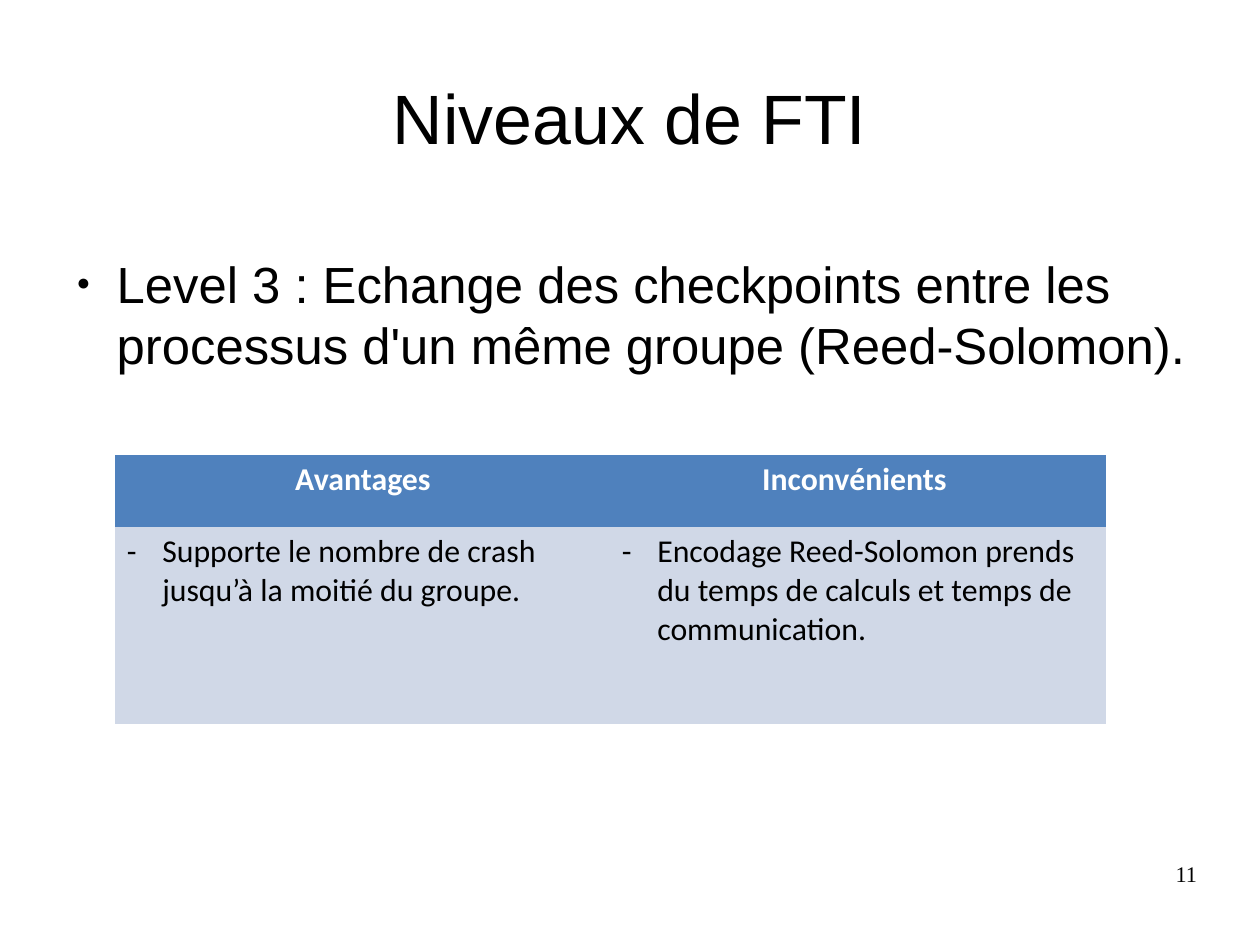
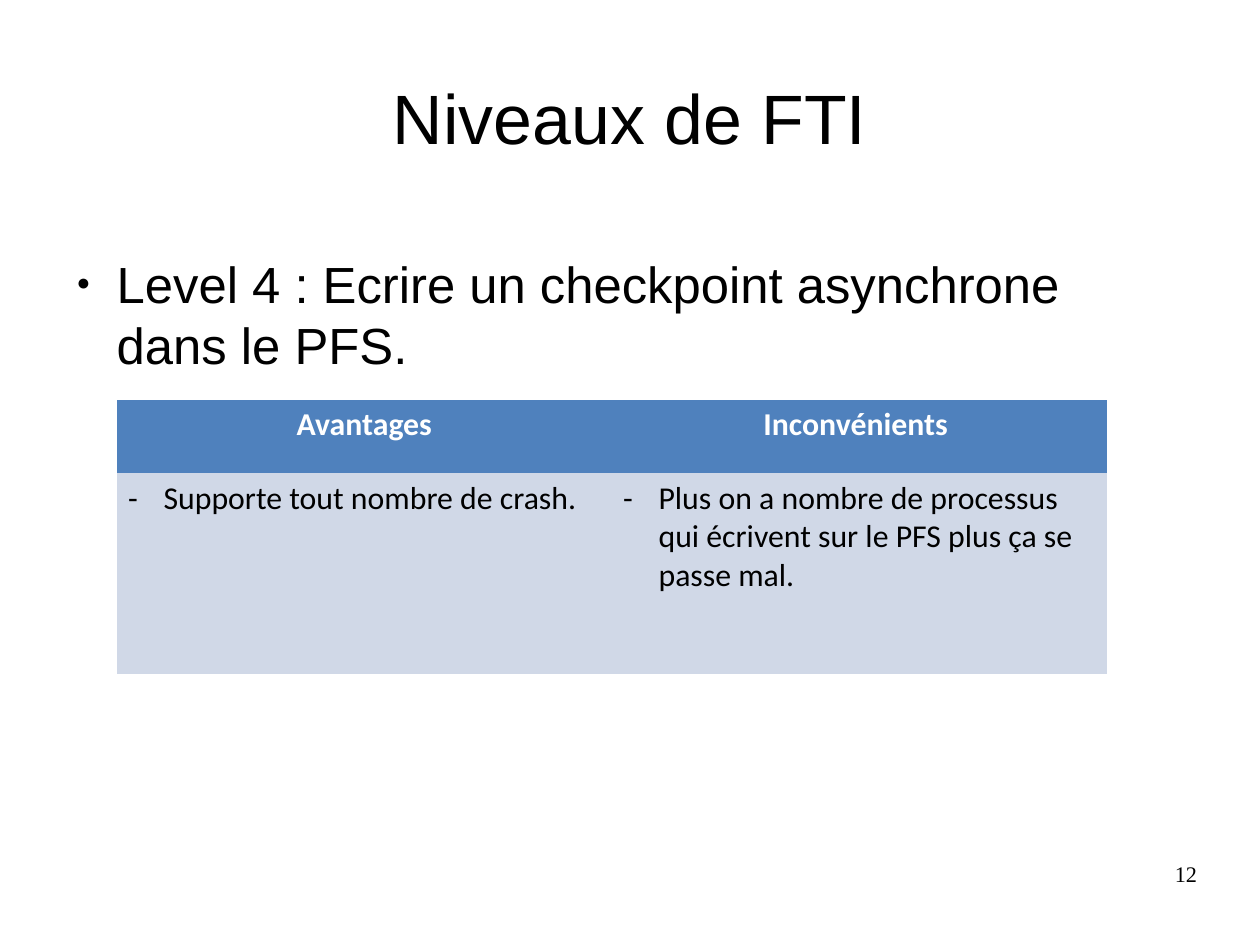
import dataclasses
import typing

import lxml.etree
import pptx
import pptx.dml.color
import pptx.enum.text
import pptx.oxml.ns
import pptx.util

WIDE, HIGH = pptx.util.Cm(28), pptx.util.Cm(21)
BLACK, WHITE, BLUE, PALE = "000000", "FFFFFF", "4F81BD", "D0D8E7"
PLAIN = "{2D5ABB26-0587-4C30-8999-92F81FD0307C}"
ALIGN = pptx.enum.text.PP_ALIGN
ANCHOR = pptx.enum.text.MSO_ANCHOR


@dataclasses.dataclass(frozen=True)
class Box:
    left: float
    top: float
    width: float
    height: float

    def place(self) -> tuple[int, int, int, int]:
        return (across(self.left), down(self.top),
                across(self.width), down(self.height))


@dataclasses.dataclass(frozen=True)
class Style:
    face: str
    size: int
    align: typing.Any = ALIGN.LEFT
    tint: str = BLACK
    bold: bool = False
    after: float = 0


@dataclasses.dataclass(frozen=True)
class Bullet:
    mark: str
    indent: float
    hang: float
    scale: int = 100


@dataclasses.dataclass(frozen=True)
class Level:
    number: int
    text: str
    body: Box
    grid: Box
    rows: tuple[float, float]
    points: tuple[str, str]


TITLE = Style("Arial", 44, ALIGN.CENTER)
BODY = Style("Arial", 32, after=14.2)
HEAD = Style("Calibri", 20, ALIGN.CENTER, WHITE, True)
CELL = Style("Calibri", 20)
FOOT = Style("Times New Roman", 14, ALIGN.RIGHT)
DOT = Bullet("●", 0.47, 0.35, 45)
DASH = Bullet("-", 0.31, 0.31)
TOP = Box(5, 4, 90, 16.69)
PAGE = Box(71.69, 91.05, 23.32, 6.89)
HEADS = ("Avantages", "Inconvénients ")

LEVELS = (
    Level(11, "Level 3 : Echange des checkpoints entre les processus "
          "d'un même groupe (Reed-Solomon).",
          Box(5, 26.72, 90.74, 58.89), Box(9.16, 48.12, 78.58, 28.54),
          (7.62, 20.92),
          ("Supporte le nombre de crash jusqu’à la moitié du groupe.",
           "Encodage Reed-Solomon prends du temps de calculs et temps "
           "de communication.")),
    Level(12, "Level 4 : Ecrire un checkpoint asynchrone dans le PFS.",
          Box(5, 26.72, 88.02, 57.92), Box(9.26, 42.32, 78.58, 29),
          (7.74, 21.26),
          ("Supporte tout nombre de crash.",
           "Plus on a nombre de processus qui écrivent sur le PFS plus "
           "ça se passe mal.")),
)


def across(share: float) -> int:
    return round(WIDE * share / 100)


def down(share: float) -> int:
    return round(HIGH * share / 100)


def color(code: str) -> pptx.dml.color.RGBColor:
    return pptx.dml.color.RGBColor.from_string(code)


def mark(para: typing.Any, bullet: Bullet, face: str) -> None:
    name = pptx.oxml.ns.qn
    props = para._p.get_or_add_pPr()
    props.set("marL", str(pptx.util.Inches(bullet.indent)))
    props.set("indent", str(-pptx.util.Inches(bullet.hang)))
    tint = lxml.etree.SubElement(props, name("a:buClr"))
    lxml.etree.SubElement(tint, name("a:srgbClr"), val=BLACK)
    lxml.etree.SubElement(props, name("a:buSzPct"),
                          val=str(bullet.scale * 1000))
    lxml.etree.SubElement(props, name("a:buFont"), typeface=face)
    lxml.etree.SubElement(props, name("a:buChar"), char=bullet.mark)


def write(frame: typing.Any, text: str, style: Style,
          bullet: Bullet | None = None) -> None:
    para = frame.paragraphs[0]
    para.text = text
    if bullet:
        mark(para, bullet, style.face)
    para.alignment = style.align
    para.space_after = pptx.util.Pt(style.after)
    para.font.name = style.face
    para.font.size = pptx.util.Pt(style.size)
    para.font.bold = style.bold
    para.font.color.rgb = color(style.tint)


def label(slide: typing.Any, box: Box, text: str, style: Style,
          bullet: Bullet | None = None, anchor: typing.Any = ANCHOR.TOP) -> None:
    frame = slide.shapes.add_textbox(*box.place()).text_frame
    frame.word_wrap = True
    frame.vertical_anchor = anchor
    frame.margin_left = frame.margin_right = 0
    frame.margin_top = frame.margin_bottom = 0
    write(frame, text, style, bullet)


def compare(slide: typing.Any, level: Level) -> None:
    table = slide.shapes.add_table(2, 2, *level.grid.place()).table
    props = table._tbl.tblPr
    props.find(pptx.oxml.ns.qn("a:tableStyleId")).text = PLAIN
    table.first_row = table.horz_banding = False
    kinds = ((HEADS, HEAD, None, BLUE), (level.points, CELL, DASH, PALE))
    for row, (texts, style, bullet, fill) in enumerate(kinds):
        table.rows[row].height = down(level.rows[row])
        for col, text in enumerate(texts):
            cell = table.cell(row, col)
            cell.fill.solid()
            cell.fill.fore_color.rgb = color(fill)
            write(cell.text_frame, text, style, bullet)


def build(deck: typing.Any, level: Level) -> None:
    slide = deck.slides.add_slide(deck.slide_layouts[6])
    label(slide, TOP, "Niveaux de FTI", TITLE, anchor=ANCHOR.MIDDLE)
    label(slide, level.body, level.text, BODY, DOT)
    compare(slide, level)
    label(slide, PAGE, str(level.number), FOOT)


def main() -> None:
    deck = pptx.Presentation()
    deck.slide_width, deck.slide_height = WIDE, HIGH
    for level in LEVELS:
        build(deck, level)
    deck.save("out.pptx")


if __name__ == "__main__":
    main()
